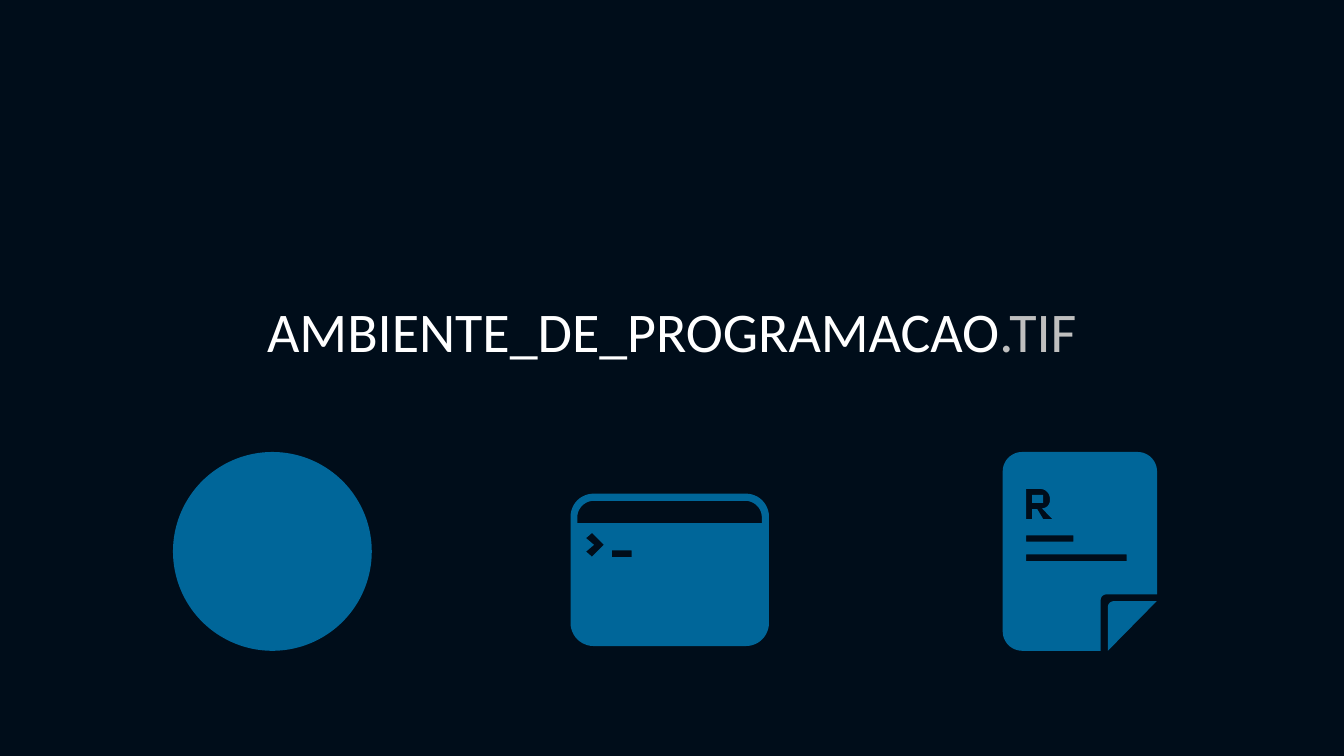
from dataclasses import dataclass
from math import cos, hypot, pi, sin

from pptx import Presentation
from pptx.dml.color import RGBColor
from pptx.enum.shapes import MSO_SHAPE
from pptx.enum.text import MSO_ANCHOR, MSO_AUTO_SIZE, PP_ALIGN
from pptx.util import Cm, Pt


@dataclass(frozen=True)
class Theme:
    background: RGBColor = RGBColor(0x00, 0x0D, 0x1A)
    icon: RGBColor = RGBColor(0x00, 0x66, 0x99)
    name: RGBColor = RGBColor(0xFF, 0xFF, 0xFF)
    suffix: RGBColor = RGBColor(0xBF, 0xBF, 0xBF)
    font: str = "Calibri"
    title_size: int = 50


@dataclass(frozen=True)
class Corner:
    x: float
    y: float
    radius: float = 0


Outline = list[Corner]
THEME = Theme()
ARC_STEPS = 12


def polygon(*points: tuple[float, ...]) -> Outline:
    return [Corner(*point) for point in points]


def box(x: float, y: float, w: float, h: float, top: float = 0, bottom: float = 0) -> Outline:
    return polygon((x, y, top), (x + w, y, top), (x + w, y + h, bottom), (x, y + h, bottom))


def direction(a: Corner, b: Corner) -> tuple[float, float]:
    length = hypot(b.x - a.x, b.y - a.y)
    return (b.x - a.x) / length, (b.y - a.y) / length


def trace(outline: Outline) -> list[tuple[int, int]]:
    points = []
    for i, c in enumerate(outline):
        ux, uy = direction(c, outline[i - 1])
        vx, vy = direction(c, outline[(i + 1) % len(outline)])
        for k in range(ARC_STEPS + 1) if c.radius else range(1):
            angle = pi / 2 * k / ARC_STEPS
            x = c.x + c.radius * (ux * (1 - sin(angle)) + vx * (1 - cos(angle)))
            y = c.y + c.radius * (uy * (1 - sin(angle)) + vy * (1 - cos(angle)))
            points.append((Cm(x), Cm(y)))
    return points


def paint(sp) -> None:
    sp.shadow.inherit = False
    sp.fill.solid()
    sp.fill.fore_color.rgb = THEME.icon
    sp.line.fill.background()


def add_icon(s, outlines: list[Outline]) -> None:
    first, *holes = [trace(outline) for outline in outlines]
    builder = s.shapes.build_freeform(*first[0])
    builder.add_line_segments(first[1:], close=True)
    for hole in holes:
        builder.move_to(*hole[0])
        builder.add_line_segments(hole[1:], close=True)
    paint(builder.convert_to_shape())


def add_text(p, text: str, *, color: RGBColor, size: int = THEME.title_size,
             font: str = THEME.font, caps: str = "small") -> None:
    r = p.add_run()
    r.text = text
    r.font.name = font
    r.font.size = Pt(size)
    r.font.color.rgb = color
    r.font._element.set("cap", caps)


def add_title(s) -> None:
    sp = s.shapes.title
    sp.left, sp.top, sp.width, sp.height = Cm(3.61), Cm(5.59), Cm(26.64), Cm(5.18)
    tf = sp.text_frame
    tf.word_wrap = True
    tf.auto_size = MSO_AUTO_SIZE.NONE
    tf.vertical_anchor = MSO_ANCHOR.MIDDLE
    p = tf.paragraphs[0]
    p.alignment = PP_ALIGN.CENTER
    add_text(p, "ambiente_de_programacao", color=THEME.name)
    add_text(p, ".tif", color=THEME.suffix)


TERMINAL = [
    box(14.38, 12.44, 5, 3.84, top=0.58, bottom=0.58),
    box(14.55, 12.62, 4.65, 0.56, top=0.42),
    polygon((14.92, 13.43), (15.22, 13.73), (14.92, 14.03),
            (14.77, 13.9), (14.97, 13.73), (14.77, 13.56)),
    box(15.42, 13.87, 0.5, 0.17),
]

DOCUMENT = [
    polygon((25.27, 11.39, 0.49), (29.16, 11.39, 0.49), (29.16, 14.98),
            (27.74, 14.98, 0.14), (27.74, 16.4), (25.27, 16.4, 0.49)),
    polygon((25.86, 13.08), (25.86, 12.32), (26.46, 12.32, 0.25), (26.46, 12.81, 0.2),
            (26.26, 12.81), (26.52, 13.08), (26.29, 13.08), (26.14, 12.83),
            (26.01, 12.83), (26.01, 13.08)),
    box(26.01, 12.47, 0.28, 0.2),
    box(25.86, 13.49, 1.19, 0.16),
    box(25.86, 13.97, 2.53, 0.17),
]

PAGE_FOLD = [polygon((27.92, 15.15, 0.15), (29.15, 15.15), (27.92, 16.4))]


def main() -> None:
    prs = Presentation()
    prs.slide_width, prs.slide_height = Cm(33.87), Cm(19.05)
    s = prs.slides.add_slide(prs.slide_layouts[5])
    s.background.fill.solid()
    s.background.fill.fore_color.rgb = THEME.background
    add_title(s)
    for icon in (TERMINAL, DOCUMENT, PAGE_FOLD):
        add_icon(s, icon)
    paint(s.shapes.add_shape(MSO_SHAPE.OVAL, Cm(4.36), Cm(11.39), Cm(5.01), Cm(5.01)))
    prs.save("out.pptx")


if __name__ == "__main__":
    main()
